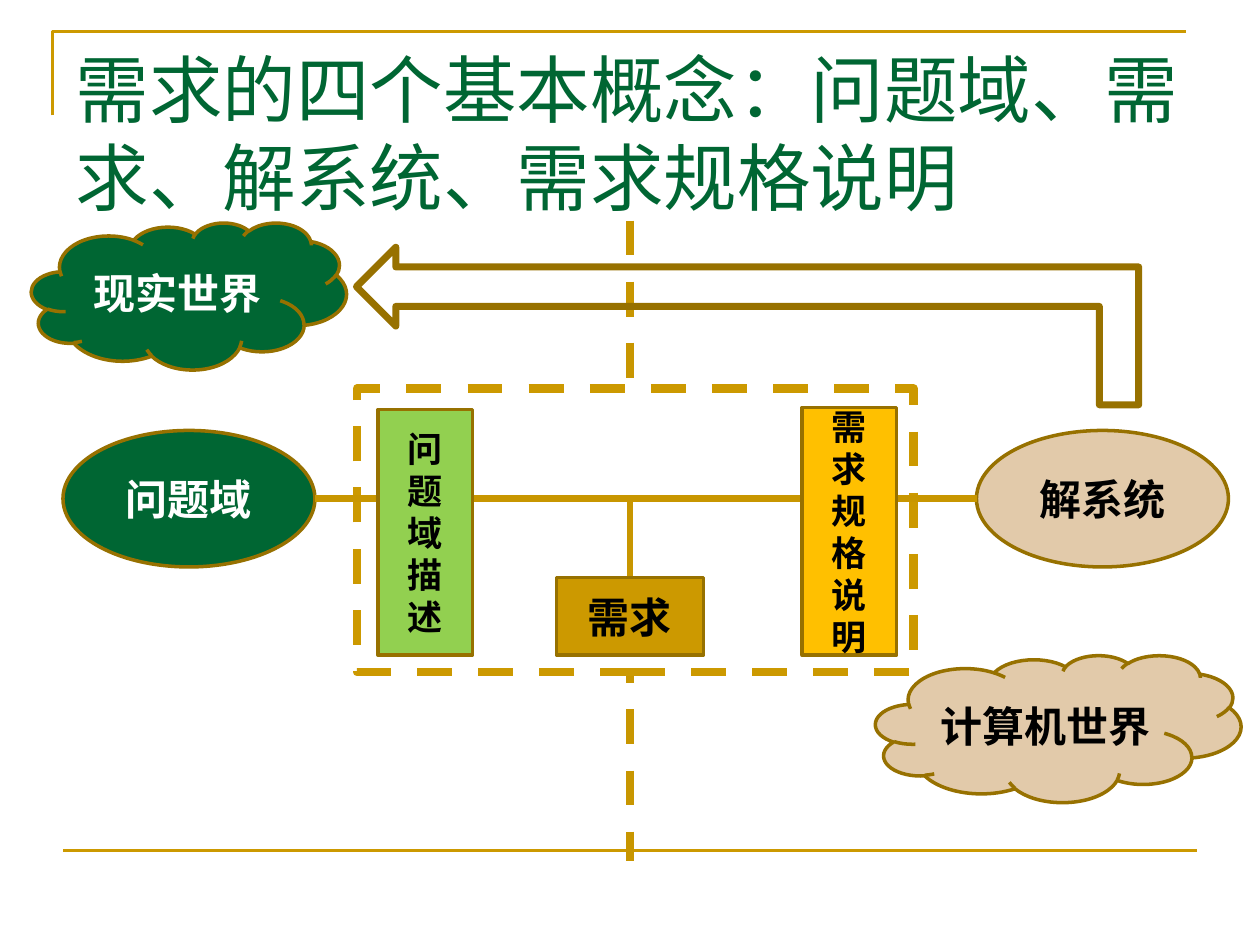
"""Build a slide relating problem domain, requirements, solution system and specification."""
import pptx
import pptx.util
import pptx.dml.color
import pptx.enum.dml
import pptx.enum.shapes
import pptx.enum.text
import pptx.oxml.ns
import lxml.etree

SHAPE = pptx.enum.shapes.MSO_SHAPE
DASH = pptx.enum.dml.MSO_LINE.DASH
MIDDLE = pptx.enum.text.MSO_ANCHOR.MIDDLE
CENTER = pptx.enum.text.PP_ALIGN.CENTER
GREEN, TAN, GOLD, BRONZE, OCHRE = "006633", "E2CAAA", "CC9900", "977100", "C89600"
WHITE, BLACK = "FFFFFF", "000000"

deck = pptx.Presentation()
deck.slide_width = pptx.util.Inches(10)
deck.slide_height = pptx.util.Inches(7.5)
cell = deck.slide_width / 120
slide = deck.slides.add_slide(deck.slide_layouts[5])
shapes = slide.shapes


def grid(*cells):
    """Turn counts of grid cells into lengths."""
    return [pptx.util.Emu(round(count * cell)) for count in cells]


def paint(target, color, width=None, dash=None):
    """Colour a fill, a font or, when a width is given, a line."""
    rgb = pptx.dml.color.RGBColor.from_string(color)
    if width:
        target.width = pptx.util.Pt(width)
        target.dash_style = dash
        target.fill.solid()
    target.color.rgb = rgb if hasattr(target, "color") else None


title = shapes.title
title.left, title.top, title.width, title.height = grid(6, 3.6, 108, 15)
title.text_frame.text = "需求的四个基本概念：问题域、需求、解系统、需求规格说明"
title.text_frame.auto_size = pptx.enum.text.MSO_AUTO_SIZE.NONE
title.text_frame.vertical_anchor = pptx.enum.text.MSO_ANCHOR.TOP
title.text_frame.paragraphs[0].alignment = pptx.enum.text.PP_ALIGN.LEFT
title_font = title.text_frame.paragraphs[0].runs[0].font
title_font.name, title_font.size = "Times New Roman", pptx.util.Pt(42)
paint(title_font, GREEN)

corner_path = shapes.build_freeform(*grid(5, 11))
corner_path.add_line_segments([grid(5, 3), grid(113, 3)], close=False)
corner = corner_path.convert_to_shape()
corner.shadow.inherit = False
corner.fill.background()
paint(corner.line, GOLD, 1.5)

rules = {}
nodes = {}
drawing = [
    ("footer", (6, 81, 114, 81), GOLD, 1.5, None),
    ("world border", (60, 21, 60, 82), OCHRE, 5, DASH),
    (SHAPE.RECTANGLE, (34, 37, 53, 27), WHITE, GOLD, 5, DASH, "", BLACK, 24),
    (SHAPE.CLOUD, (3, 21.2, 30, 14), GREEN, BRONZE, 2, None, "现实世界", WHITE, 24),
    (SHAPE.CLOUD, (83.4, 62.4, 34.8, 14), TAN, BRONZE, 2, None, "计算机世界", BLACK, 24),
    (SHAPE.OVAL, (6, 41, 24, 13), GREEN, BRONZE, 2, None, "问题域", WHITE, 24),
    (SHAPE.OVAL, (93, 41, 24, 13), TAN, BRONZE, 2, None, "解系统", BLACK, 24),
    ("domain to system", (30, 47.5, 93, 47.5), OCHRE, 4, None),
    ("requirement branch", (60, 47.5, 60, 62.4), OCHRE, 4, None),
    (SHAPE.RECTANGLE, (36, 39, 9, 23.4), "92D050", BRONZE, 2, None, "问题域描述", BLACK, 20),
    (SHAPE.RECTANGLE, (76.4, 38.8, 9, 23.6), "FFC000", BRONZE, 2, None, "需求规格说明", BLACK, 20),
    (SHAPE.RECTANGLE, (53, 55, 14, 7.4), GOLD, BRONZE, 2, None, "需求", BLACK, 24),
]
for kind, place, *look in drawing:
    if isinstance(kind, str):
        rule = shapes.add_connector(pptx.enum.shapes.MSO_CONNECTOR.STRAIGHT, *grid(*place))
        lxml.etree.SubElement(rule.line._get_or_add_ln().getparent(), pptx.oxml.ns.qn("a:effectLst"))
        paint(rule.line, *look)
        rules[kind] = rule
        continue
    fill, outline, width, dash, label, ink, size = look
    node = shapes.add_shape(kind, *grid(*place))
    node.shadow.inherit = False
    node.fill.solid()
    node.fill.fore_color.rgb = pptx.dml.color.RGBColor.from_string(fill)
    paint(node.line, outline, width, dash)
    if label:
        node.text_frame.text = label
        node.text_frame.word_wrap = True
        node.text_frame.vertical_anchor = MIDDLE
        paragraph = node.text_frame.paragraphs[0]
        paragraph.alignment = CENTER
        font = paragraph.runs[0].font
        font.name, font.size, font.bold = "Arial", pptx.util.Pt(size), True
        paint(font, ink)
        nodes[label] = node

rules["requirement branch"].end_connect(nodes["需求"], 2)

feedback = shapes.add_shape(SHAPE.BENT_UP_ARROW, *grid(63.7, -6.2, 15, 74.5))
feedback.rotation = 270
feedback.shadow.inherit = False
feedback.fill.background()
paint(feedback.line, BRONZE, 4)

deck.save("out.pptx")
